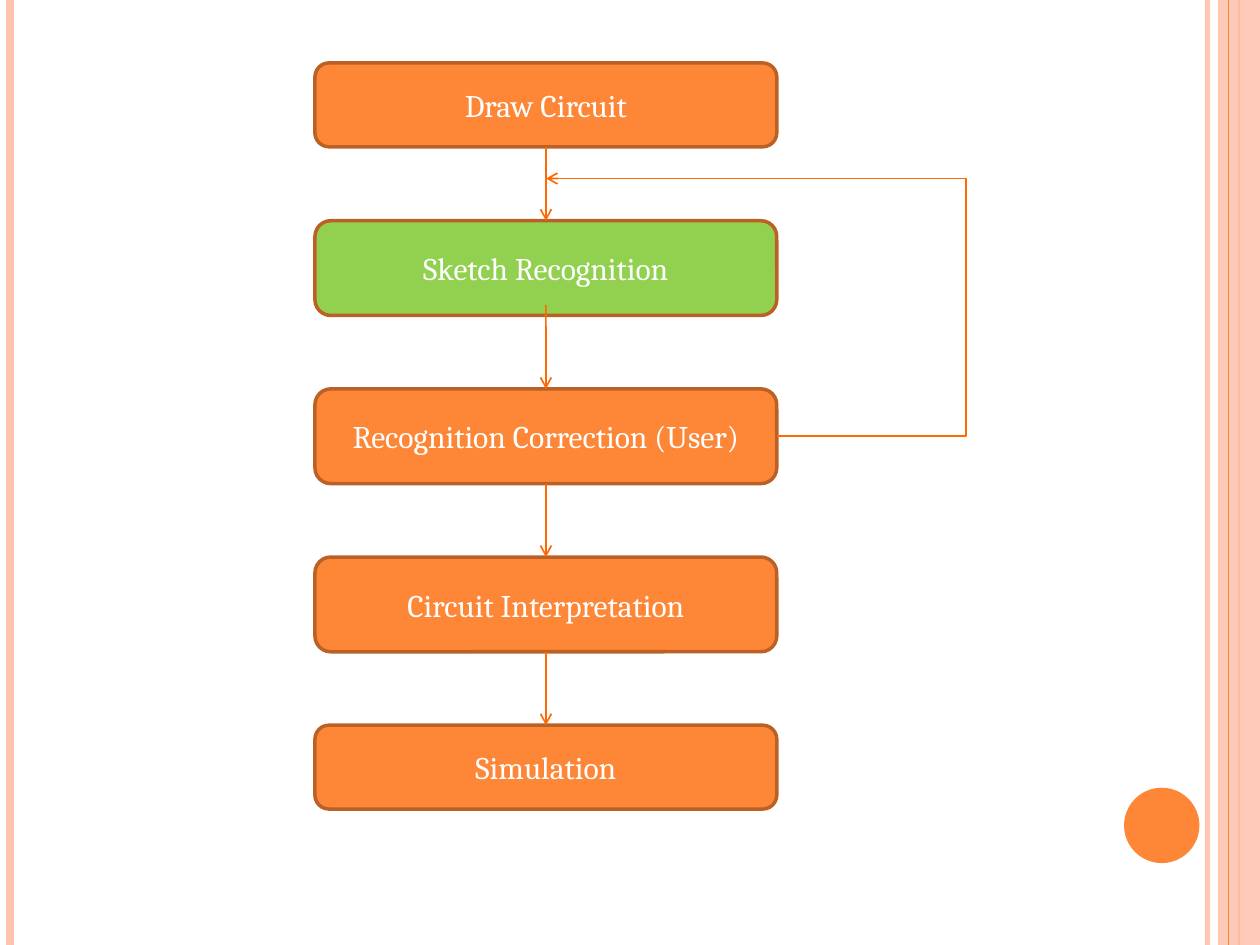
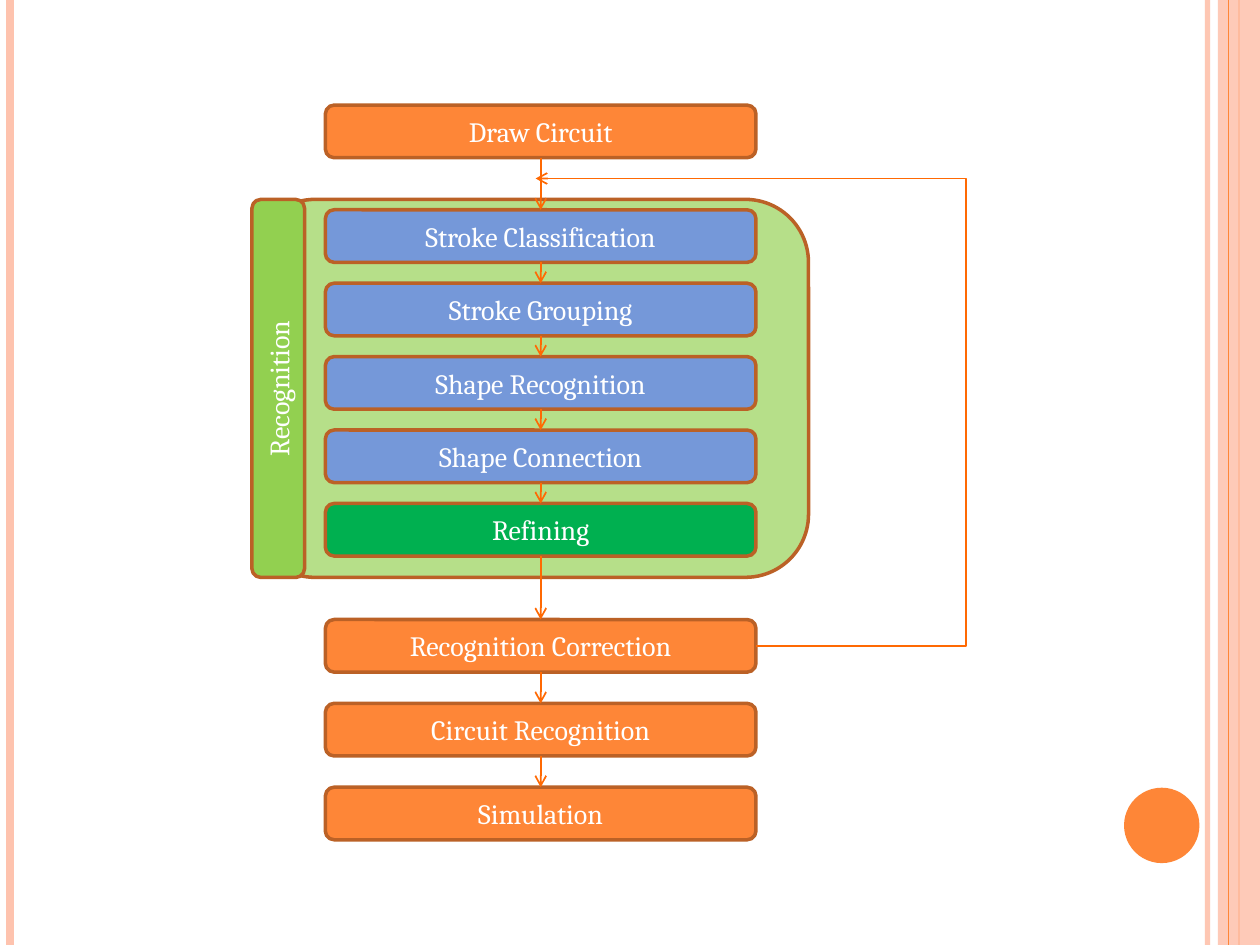
from itertools import pairwise

from pptx import Presentation
from pptx.dml.color import RGBColor as Rgb
from pptx.enum.shapes import MSO_CONNECTOR as Link, MSO_SHAPE as Form
from pptx.enum.text import MSO_ANCHOR as Anchor, PP_ALIGN as Align
from pptx.oxml.ns import qn
from pptx.oxml.xmlchemy import OxmlElement as Node
from pptx.util import Cm, Pt

WIDE, HIGH = 25.4, 19.05
HUES = {
    "peach": "FEC3AE", "orange": "FE8637", "rust": "BB6126", "flame": "FF6903",
    "green": "92D050", "pale": "B6DF89", "deep": "00B050", "blue": "7598D9",
    "white": "FFFFFF",
}
TOP, FOOT = 0, 2  # connection sites
LOOP_X, LOOP_Y, BACK_Y = 19.47, 4.02, 3.6  # feedback path


class Deck:
    """Holds the style and the current slide."""

    def __init__(self):
        self.prs = Presentation()
        self.prs.slide_width, self.prs.slide_height = Cm(WIDE), Cm(HIGH)
        self.blank = self.prs.slide_layouts[6]
        self.slide, self.size = None, 18

    def page(self, size):
        self.slide = self.prs.slides.add_slide(self.blank)
        self.size = size

    def tint(self, fill, hue, alpha=100):
        fill.solid()
        fill.fore_color.rgb = Rgb.from_string(HUES[hue])
        if alpha < 100:
            node = Node("a:alpha")
            node.set("val", str(alpha * 1000))
            fill._xPr.find(qn("a:solidFill"))[0].append(node)

    def shape(self, form, area, hue, edge=None, alpha=100):
        item = self.slide.shapes.add_shape(form, *map(Cm, area))
        item.shadow.inherit = False
        self.tint(item.fill, hue, alpha)
        if edge:
            self.tint(item.line.fill, edge)
            item.line.width = Pt(2)
        else:
            item.line.fill.background()
        return item

    def box(self, area, hue, text="", turn=0):
        item = self.shape(Form.ROUNDED_RECTANGLE, area, hue, "rust")
        item.rotation = turn
        if text:
            frame = item.text_frame
            frame.text = text
            frame.word_wrap = True
            frame.vertical_anchor = Anchor.MIDDLE
            para = frame.paragraphs[0]
            para.alignment = Align.CENTER
            font = para.runs[0].font
            font.name, font.size = "Cambria", Pt(self.size)
            font.color.rgb = Rgb.from_string(HUES["white"])
        return item

    def line(self, start, end, hue="flame", width=1, kind=Link.STRAIGHT,
             arrow=False, alpha=100):
        item = self.slide.shapes.add_connector(kind, *map(Cm, start + end))
        self.tint(item.line.fill, hue, alpha)
        item.line.width = Pt(width)
        if arrow:
            tip = Node("a:tailEnd")
            tip.set("type", "arrow")
            item.line._get_or_add_ln().append(tip)
        item._element.spPr.append(Node("a:effectLst"))
        return item

    def arrow(self, upper, lower):
        """Point from the foot of one box to the top of the next."""
        item = self.line((0, 0), (1, 1), arrow=True)
        item.begin_connect(upper, FOOT)
        item.end_connect(lower, TOP)
        return item

    def loop(self, box, end_x):
        """Lead from the right side of a box back up to the main flow."""
        right = (box.left + box.width).cm if hasattr(box.left + box.width, "cm") \
            else (box.left + box.width) / Cm(1)
        mid = (box.top + box.height / 2) / Cm(1)
        bend = (LOOP_X, LOOP_Y)
        rise = self.line((right, mid), bend, kind=Link.ELBOW)
        rise._element.spPr.find(qn("a:prstGeom")).set("prst", "bentConnector2")
        back = self.line(bend, (end_x, BACK_Y), kind=Link.ELBOW, arrow=True)
        guide = Node("a:gd")
        guide.set("name", "adj1")
        guide.set("fmla", "val 0")
        back._element.spPr.find(qn("a:prstGeom")).get_or_add_avLst().append(guide)

    def frame(self):
        """Draw the side bands and move them to the shared layout."""
        def rule(x, hue, width, alpha=100):
            return self.line((x, 0), (x, HIGH), hue, width, alpha=alpha)

        for old in list(self.blank.placeholders):
            old._element.getparent().remove(old._element)
        parts = [
            rule(24.34, "peach", 3, 93),
            rule(0.21, "peach", 4.5),
            rule(24.98, "orange", 1.5),
            self.shape(Form.RECTANGLE, (24.55, 0, 0.85, HIGH), "peach", alpha=87),
            rule(24.77, "orange", 0.75),
            self.shape(Form.OVAL, (22.66, 15.88, 1.52, 1.52), "orange"),
        ]
        for part in parts:
            self.blank.shapes._spTree.append(part._element)


def flow(deck):
    """Five main steps."""
    deck.page(18)
    deck.frame()
    left, wide, first, step = 6.35, 9.31, 4.45, 3.39
    steps = [
        ("Draw Circuit", 1.27, 1.69, "orange"),
        ("Sketch Recognition", first, 1.91, "green"),
        ("Recognition Correction (User)", first + step, 1.91, "orange"),
        ("Circuit Interpretation", first + 2 * step, 1.91, "orange"),
        ("Simulation", first + 3 * step, 1.69, "orange"),
    ]
    boxes = [deck.box((left, top, wide, high), hue, text)
             for text, top, high, hue in steps]
    draw, sketch, fix, sense, run = boxes
    for pair in ((draw, sketch), (fix, sense), (sense, run)):
        deck.arrow(*pair)
    # This arrow starts just inside its box
    mid = left + wide / 2
    deck.line((mid, 6.15), (mid, first + step), arrow=True).end_connect(fix, TOP)
    deck.loop(fix, 11.01)


def detail(deck):
    """The recognition step opened up."""
    deck.page(16)
    left, wide, high = 6.56, 8.68, 1.06
    # Panel and its turned label
    deck.box((5.08, LOOP_Y, 11.22, 7.62), "pale")
    deck.box((1.8, 7.3, 7.62, high), "green", "Recognition", 270)
    # Steps from top to bottom
    inner = ["Stroke Classification", "Stroke Grouping", "Shape Recognition",
             "Shape Connection", "Refining"]
    outer = ["Recognition Correction", "Circuit Recognition", "Simulation"]
    steps = [("Draw Circuit", 2.12, "orange")]
    steps += [(text, 4.23 + 1.48 * i, "deep" if text == "Refining" else "blue")
              for i, text in enumerate(inner)]
    steps += [(text, 12.49 + 1.69 * i, "orange") for i, text in enumerate(outer)]
    boxes = [deck.box((left, top, wide, high), hue, text)
             for text, top, hue in steps]
    for upper, lower in pairwise(boxes):
        deck.arrow(upper, lower)
    deck.loop(boxes[-len(outer)], 10.8)


def main():
    deck = Deck()
    flow(deck)
    detail(deck)
    deck.prs.save("out.pptx")


if __name__ == "__main__":
    main()
